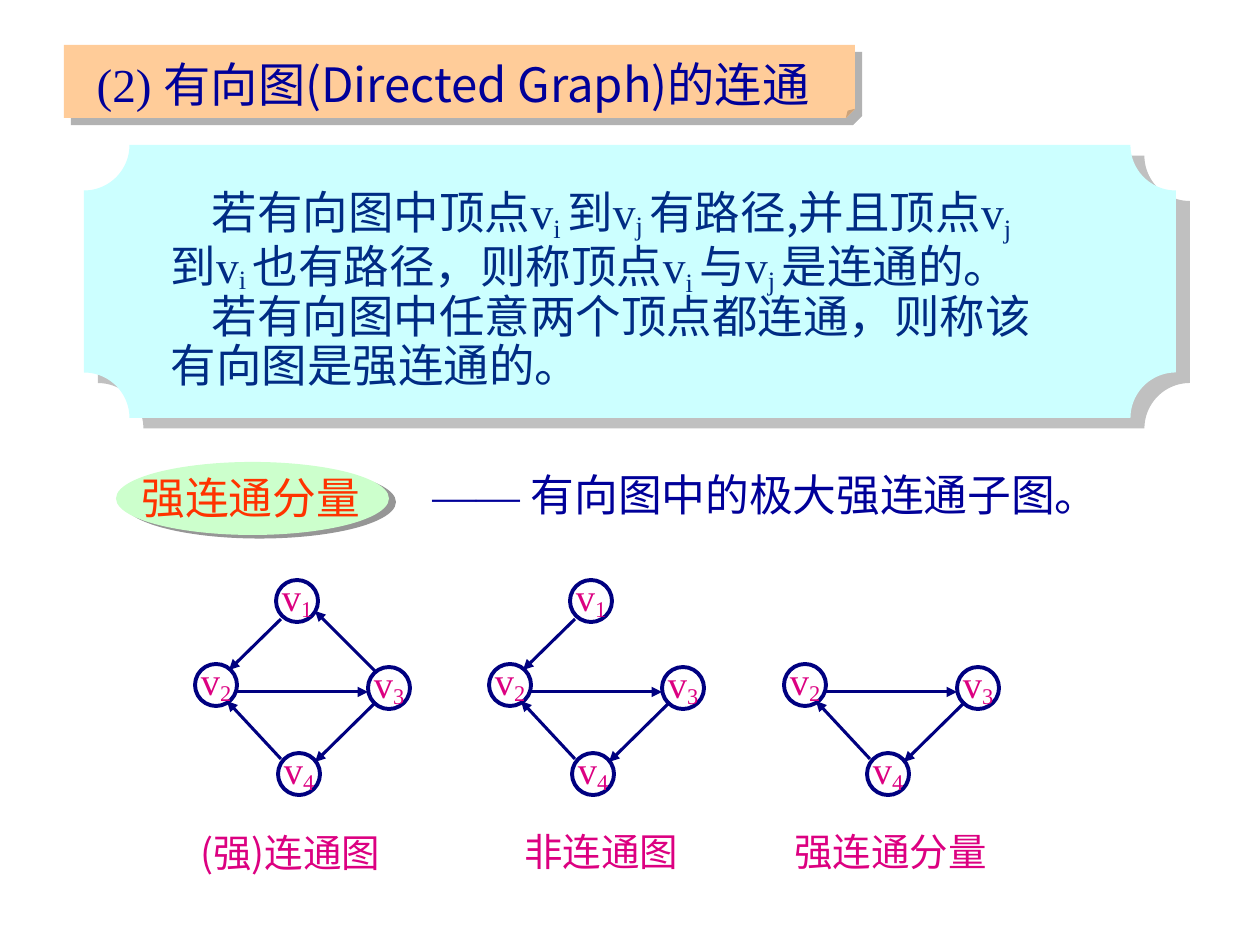
import pptx
import pptx.dml.color
import pptx.enum.shapes
import pptx.enum.text
import pptx.oxml
import pptx.oxml.ns
import pptx.util

PX = 914400 / 126
SERIF, SANS = "Times New Roman", "Noto Sans CJK SC"
NAVY, BLUE, MAGENTA = "000080", "000099", "DC0081"
NS = 'xmlns:a="http://schemas.openxmlformats.org/drawingml/2006/main"'
SHAPE = pptx.enum.shapes.MSO_SHAPE


def paint(fill, colour):
    fill.solid()
    fill.fore_color.rgb = pptx.dml.color.RGBColor.from_string(colour)


def write(paragraph, parts, size, colour):
    """Add runs given as (text, font, baseline shift in percent)."""
    for text, font, shift in parts:
        run = paragraph.add_run()
        run.text = text
        run.font.size = pptx.util.Pt(size)
        run.font.name = font
        paint(run.font.fill, colour)
        properties = run.font._element
        properties.append(pptx.oxml.parse_xml(f'<a:ea {NS} typeface="{font}"/>'))
        if shift:
            properties.set("baseline", str(shift * 1000))


deck = pptx.Presentation()
deck.slide_width, deck.slide_height = round(1260 * PX), round(945 * PX)
slide = deck.slides.add_slide(deck.slide_layouts[1])
shapes = slide.shapes
title, definition = slide.placeholders

# Coloured panels with hard shadows: kind, box, fill, shadow colour, distance, angle
panels = [
    (SHAPE.PLAQUE, (84, 145, 1092, 273), "CCFFFF", "C0C0C0", 10, 37),
    (SHAPE.OVAL, (116, 462, 273, 73), "CCFFCC", "969696", 4.5, 27),
    (SHAPE.FOLDED_CORNER, (64, 45, 791, 73), "FFCC99", "B2B2B2", 5.7, 45),
]
for kind, box, colour, shade, distance, angle in panels:
    panel = shapes.add_shape(kind, *[round(v * PX) for v in box])
    paint(panel.fill, colour)
    panel.line.fill.background()
    if kind == SHAPE.FOLDED_CORNER:
        panel._element.spPr.find(pptx.oxml.ns.qn("a:prstGeom")).rewrite_guides([("adj", 12500)])
    panel._element.spPr.append(pptx.oxml.parse_xml(
        f'<a:effectLst {NS}><a:outerShdw dist="{round(distance * 12700)}" '
        f'dir="{angle * 60000}" rotWithShape="0"><a:srgbClr val="{shade}"/>'
        '</a:outerShdw></a:effectLst>'))

# Title and definition stand in front of their panels
for holder, box in [(title, (84, 49, 863, 71)), (definition, (158, 180, 1029, 209))]:
    holder.left, holder.top, holder.width, holder.height = [round(v * PX) for v in box]
    shapes._spTree.append(holder._element)
    holder.text_frame.word_wrap = True
    holder.text_frame.auto_size = pptx.enum.text.MSO_AUTO_SIZE.NONE
    holder.text_frame.vertical_anchor = pptx.enum.text.MSO_ANCHOR.TOP

heading = title.text_frame.paragraphs[0]
heading.alignment = pptx.enum.text.PP_ALIGN.LEFT
write(heading, [("(2) ", SERIF, 0), ("有向图(Directed Graph)的连通", SANS, 0)], 27, BLUE)

# Each line: first-line indent, then text pieces and vertices with their subscripts
definition_lines = [
    (41, ["若有向图中顶点", ("i ", -20), "到", ("j ", -14), "有路径,并且顶点", ("j", -20)]),
    (0, ["到", ("i ", -14), "也有路径，则称顶点", ("i ", -20), "与", ("j ", -16), "是连通的。"]),
    (41, ["若有向图中任意两个顶点都连通，则称该"]),
    (0, ["有向图是强连通的。"]),
]
for number, (indent, pieces) in enumerate(definition_lines):
    frame = definition.text_frame
    line = frame.add_paragraph() if number else frame.paragraphs[0]
    line.line_spacing = 0.9
    line.space_before = pptx.util.Pt(0)
    settings = line._element.get_or_add_pPr()
    settings.set("marL", "0")
    settings.set("indent", str(round(indent * PX)))
    settings.append(pptx.oxml.parse_xml(f"<a:buNone {NS}/>"))
    parts = []
    for piece in pieces:
        if isinstance(piece, str):
            parts.append((piece, SANS, 0))
        else:
            parts += [("v", SERIF, 0), (piece[0], SERIF, piece[1])]
    write(line, parts, 26, "002C84")

# Term, its explanation and the captions under the graphs
notes = [
    ((129, 465, 281, 66), [("强连通分量", SANS, 0)], 25, "FF3300"),
    ((420, 462, 726, 66), [("—— ", SERIF, 0), ("有向图中的极大强连通子图。", SANS, 0)], 25, BLUE),
    ((188, 823, 241, 59), [("(强)连通图", SANS, 0)], 22, MAGENTA),
    ((512, 822, 218, 59), [("非连通图", SANS, 0)], 22, MAGENTA),
    ((782, 822, 255, 59), [("强连通分量", SANS, 0)], 22, MAGENTA),
]
for box, parts, size, colour in notes:
    note = shapes.add_textbox(*[round(v * PX) for v in box])
    note.text_frame.word_wrap = True
    write(note.text_frame.paragraphs[0], parts, size, colour)
    if colour == "FF3300":
        term_fill = note.text_frame.paragraphs[0].runs[0].font._element.find(
            pptx.oxml.ns.qn("a:solidFill"))
        term_fill.addnext(pptx.oxml.parse_xml(
            f'<a:effectLst {NS}><a:outerShdw dist="25400" dir="2700000">'
            '<a:srgbClr val="000000"/></a:outerShdw></a:effectLst>'))

# Graphs: x is counted from the left edge of vertex 2
vertices = {1: (81, 580), 2: (0, 664), 3: (173, 667), 4: (83, 753)}
edges = {
    (1, 2): (86, 619, 34, 670),
    (2, 3): (39, 692, 173, 692),
    (3, 4): (181, 702, 120, 762),
    (4, 2): (86, 759, 32, 701),
    (3, 1): (181, 672, 120, 611),
}
cycle = [(2, 3), (3, 4), (4, 2)]
graphs = [
    (195, [1, 2, 3, 4], cycle + [(1, 2), (3, 1)]),
    (489, [1, 2, 3, 4], cycle + [(1, 2)]),
    (784, [2, 3, 4], cycle),
]
for left, members, links in graphs:
    for vertex in members:
        x, y = left + vertices[vertex][0], vertices[vertex][1]
        circle = shapes.add_shape(SHAPE.OVAL, *[round(v * PX) for v in (x, y, 42, 42)])
        circle.shadow.inherit = False
        circle.fill.background()
        paint(circle.line.fill, NAVY)
        circle.line.width = pptx.util.Pt(2.25)
        label = shapes.add_textbox(*[round(v * PX) for v in (x - 8, y - 13, 58, 59)])
        label.text_frame.word_wrap = False
        name = label.text_frame.paragraphs[0]
        name.alignment = pptx.enum.text.PP_ALIGN.CENTER
        write(name, [("v", SERIF, 0), (str(vertex), SERIF, -14)], 22, MAGENTA)
    for link in links:
        x1, y1, x2, y2 = edges[link]
        arrow = shapes.add_connector(
            pptx.enum.shapes.MSO_CONNECTOR.STRAIGHT,
            *[round(v * PX) for v in (left + x1, y1, left + x2, y2)])
        paint(arrow.line.fill, NAVY)
        arrow.line.width = pptx.util.Pt(1.75)
        arrow.line._get_or_add_ln().append(
            pptx.oxml.parse_xml(f'<a:tailEnd {NS} type="triangle"/>'))
        arrow._element.spPr.append(pptx.oxml.parse_xml(f"<a:effectLst {NS}/>"))

deck.save("out.pptx")
